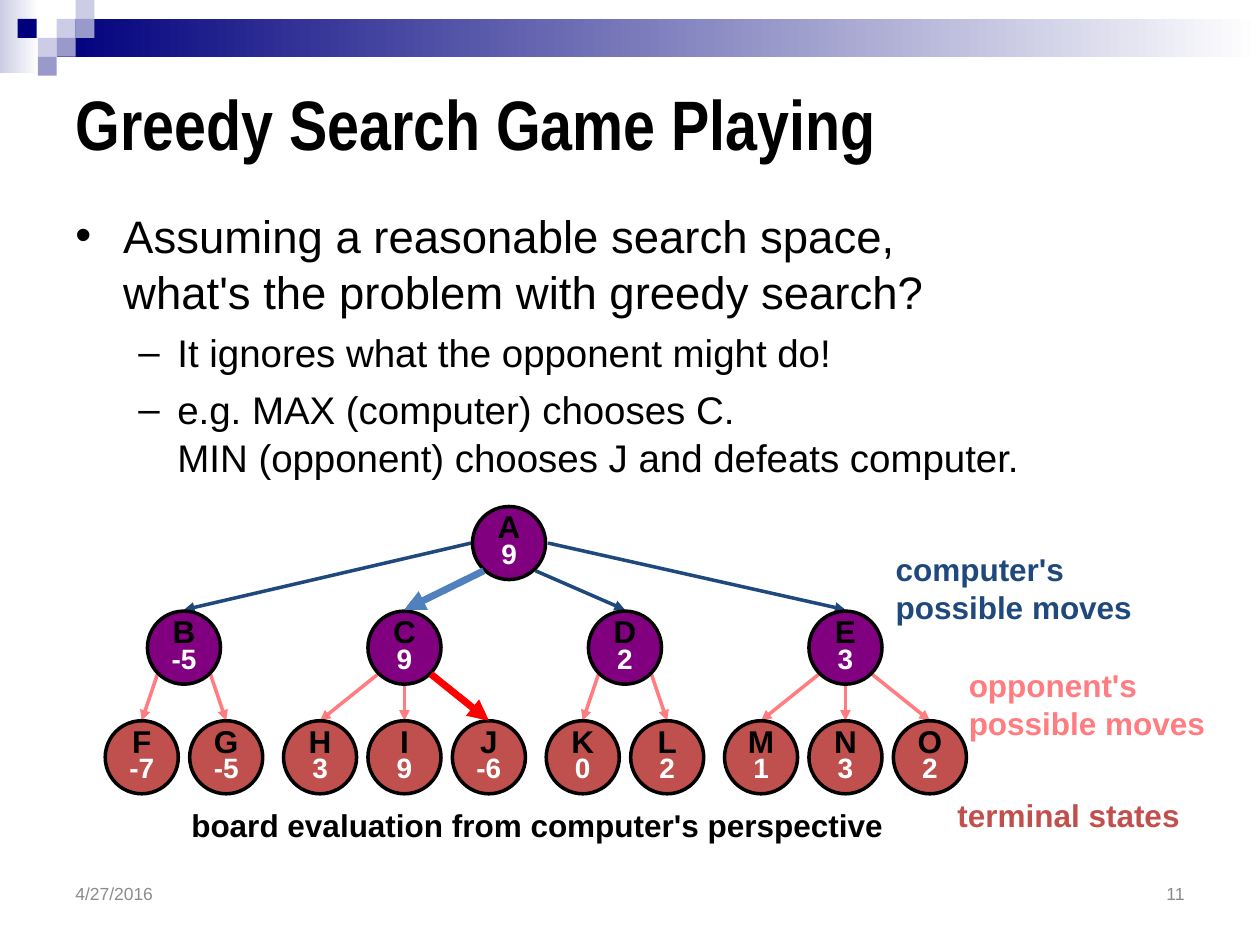
from lxml.etree import SubElement
from pptx import Presentation
from pptx.dml.color import RGBColor
from pptx.enum.shapes import MSO_CONNECTOR as Connector, MSO_SHAPE as Shape
from pptx.enum.text import MSO_ANCHOR as Anchor, PP_ALIGN as Align
from pptx.oxml.ns import qn
from pptx.util import Inches, Pt

COLORS = {key: RGBColor.from_string(value) for key, value in {
    "black": "000000", "white": "FFFFFF", "navy": "00007D", "lavender": "CCCCE6",
    "periwinkle": "9999CC", "purple": "800080", "brick": "C0504D", "pink": "FF7C80",
    "dark blue": "1F497D", "blue": "4F81BD", "red": "FF0000",
    "date gray": "8C8C8C", "number gray": "898989",
}.items()}


def write(paragraph, text, size, color, bold=False, name="Arial", **layout):
    """Fill a paragraph; a vertical tab in the text is a line break."""
    paragraph.text = text
    for attribute, value in layout.items():
        setattr(paragraph, attribute, value)
    for run in paragraph.runs:
        for attribute, value in {"size": Pt(size), "bold": bold, "name": name}.items():
            setattr(run.font, attribute, value)
        run.font.color.rgb = COLORS[color]


def add_arrow(start, end, color, width):
    points = [Inches(value) for value in (*start, *end)]
    arrow = slide.shapes.add_connector(Connector.STRAIGHT, *points)
    arrow.line.color.rgb = COLORS[color]
    arrow.line.width = Pt(width)
    SubElement(arrow.line._get_or_add_ln(), qn("a:tailEnd"), type="triangle")
    SubElement(arrow._element.spPr, qn("a:effectLst"))


presentation = Presentation()
presentation.slide_width, presentation.slide_height = Inches(10), Inches(7.5)
slide = presentation.slides.add_slide(presentation.slide_layouts[5])

# Header decoration: one colour is solid, two are a left-to-right gradient
for left, top, width, height, *fill_colors in [
    (0, 0, 0.31, 0.58, "lavender", "white"),
    (0.45, 0.15, 9.55, 0.3, "navy", "white"),
    (0.45, 0.15, 0.15, 0.15, "lavender"),
    (0.6, 0, 0.15, 0.15, "lavender"),
    (0.6, 0.15, 0.15, 0.15, "periwinkle"),
    (0.3, 0.3, 0.15, 0.15, "lavender"),
    (0.14, 0.15, 0.15, 0.15, "navy"),
    (0.45, 0.3, 0.15, 0.15, "periwinkle"),
    (0.3, 0.45, 0.15, 0.15, "periwinkle"),
]:
    block = slide.shapes.add_shape(
        Shape.RECTANGLE, Inches(left), Inches(top), Inches(width), Inches(height))
    block.shadow.inherit = False
    block.line.fill.background()
    if len(fill_colors) == 1:
        block.fill.solid()
        block.fill.fore_color.rgb = COLORS[fill_colors[0]]
    else:
        block.fill.gradient()
        block.fill.gradient_angle = 0
        for stop, color in zip(block.fill.gradient_stops, fill_colors):
            stop.color.rgb = COLORS[color]

title = slide.shapes.title
title.left, title.top, title.width, title.height = (
    Inches(value) for value in (0.5, 0.45, 9, 1.05))
title.text_frame.vertical_anchor = Anchor.MIDDLE
write(title.text_frame.paragraphs[0], "Greedy Search Game Playing", 40, "black",
      bold=True, name="Arial Narrow", alignment=Align.LEFT)

# Bulleted text
body = slide.shapes.add_textbox(Inches(0.5), Inches(1.55), Inches(9), Inches(2.45)).text_frame
body.word_wrap = True
body.margin_top = Inches(0.08)
for index, (text, level, size, space, bullet, margin, indent) in enumerate([
    ("Assuming a reasonable search space,\vwhat's the problem with greedy search?",
     0, 26, 0, "•", 0.38, -0.38),
    ("It ignores what the opponent might do!", 1, 22, 5, "–", 0.81, -0.31),
    ("e.g. MAX (computer) chooses C.\vMIN (opponent) chooses J and defeats computer.",
     1, 22, 5, "–", 0.81, -0.31),
]):
    paragraph = body.add_paragraph() if index else body.paragraphs[0]
    write(paragraph, text, size, "black", level=level, space_before=Pt(space),
          line_spacing=1.04)
    properties = paragraph._p.get_or_add_pPr()
    properties.set("marL", str(Inches(margin)))
    properties.set("indent", str(Inches(indent)))
    SubElement(properties, qn("a:buFont"), typeface="Arial")
    SubElement(properties, qn("a:buChar"), char=bullet)

# Game tree: each entry is (name, value, children)
ROOT_X, FIRST_MOVE_X, MOVE_STEP, REPLY_STEP = 4.04, 1.46, 1.75, 0.67
ROOT_Y, MOVE_Y, REPLY_Y, DIAMETER = 4.02, 4.85, 5.72, 0.58
MOVES = [
    ("B", "-5", [("F", "-7"), ("G", "-5")]),
    ("C", "9", [("H", "3"), ("I", "9"), ("J", "-6")]),
    ("D", "2", [("K", "0"), ("L", "2")]),
    ("E", "3", [("M", "1"), ("N", "3"), ("O", "2")]),
]
ROOT_EXITS = [(-0.3, 4.31), (-0.2, 4.53), (0.21, 4.53), (0.31, 4.31)]

nodes = [("A", "9", ROOT_X, ROOT_Y, "purple")]
arrows, chosen_arrows = [], []
for index, (name, value, replies) in enumerate(MOVES):
    move_x = FIRST_MOVE_X + index * MOVE_STEP
    nodes.append((name, value, move_x, MOVE_Y, "purple"))
    exit_x, exit_y = ROOT_EXITS[index]
    ends = (ROOT_X + exit_x, exit_y), (move_x, MOVE_Y - 0.01)
    arrows.append((*ends, "dark blue", 2))
    if name == "C":
        chosen_arrows.append((*ends, "blue", 4))
    for position, (reply, reply_value) in enumerate(replies):
        offset = position - (len(replies) - 1) / 2
        reply_x = move_x + offset * REPLY_STEP
        nodes.append((reply, reply_value, reply_x, REPLY_Y, "brick"))
        side = (offset > 0) - (offset < 0)
        ends = (move_x + side * 0.21, 5.35 if side else 5.43), (reply_x, REPLY_Y)
        arrows.append((*ends, "pink", 2))
        if reply == "J":
            chosen_arrows.append((*ends, "red", 4))

for arrow in arrows:
    add_arrow(*arrow)

for name, value, center_x, top, color in nodes:
    node = slide.shapes.add_shape(
        Shape.OVAL, Inches(center_x - DIAMETER / 2), Inches(top),
        Inches(DIAMETER), Inches(DIAMETER))
    node.shadow.inherit = False
    node.fill.solid()
    node.fill.fore_color.rgb = COLORS[color]
    node.line.color.rgb = COLORS["black"]
    node.line.width = Pt(2)
    frame = node.text_frame
    frame.word_wrap = False
    frame.vertical_anchor = Anchor.MIDDLE
    centered = {"alignment": Align.CENTER, "line_spacing": 0.75}
    write(frame.paragraphs[0], name, 18, "black", bold=True, **centered)
    write(frame.add_paragraph(), value, 16, "white", bold=True, **centered)

for arrow in chosen_arrows:
    add_arrow(*arrow)

# Tree labels, date and slide number
for text, left, top, width, height, size, color, bold, alignment in [
    ("computer's\vpossible moves", 7.01, 4.32, 2.08, 0.7, 18, "dark blue", True, Align.LEFT),
    ("opponent's\vpossible moves", 7.59, 5.24, 2.08, 0.7, 18, "pink", True, Align.LEFT),
    ("board evaluation from computer's perspective",
     1.42, 6.35, 5.69, 0.4, 18, "black", True, Align.LEFT),
    ("terminal states", 7.5, 6.27, 1.97, 0.4, 18, "brick", True, Align.LEFT),
    ("4/27/2016", 0.5, 6.92, 2.33, 0.35, 10, "date gray", False, Align.LEFT),
    ("11", 7.17, 6.92, 2.33, 0.35, 10, "number gray", False, Align.RIGHT),
]:
    frame = slide.shapes.add_textbox(
        Inches(left), Inches(top), Inches(width), Inches(height)).text_frame
    frame.word_wrap = not bold
    frame.vertical_anchor = Anchor.TOP if bold else Anchor.MIDDLE
    write(frame.paragraphs[0], text, size, color, bold=bold, alignment=alignment)

presentation.save("out.pptx")
